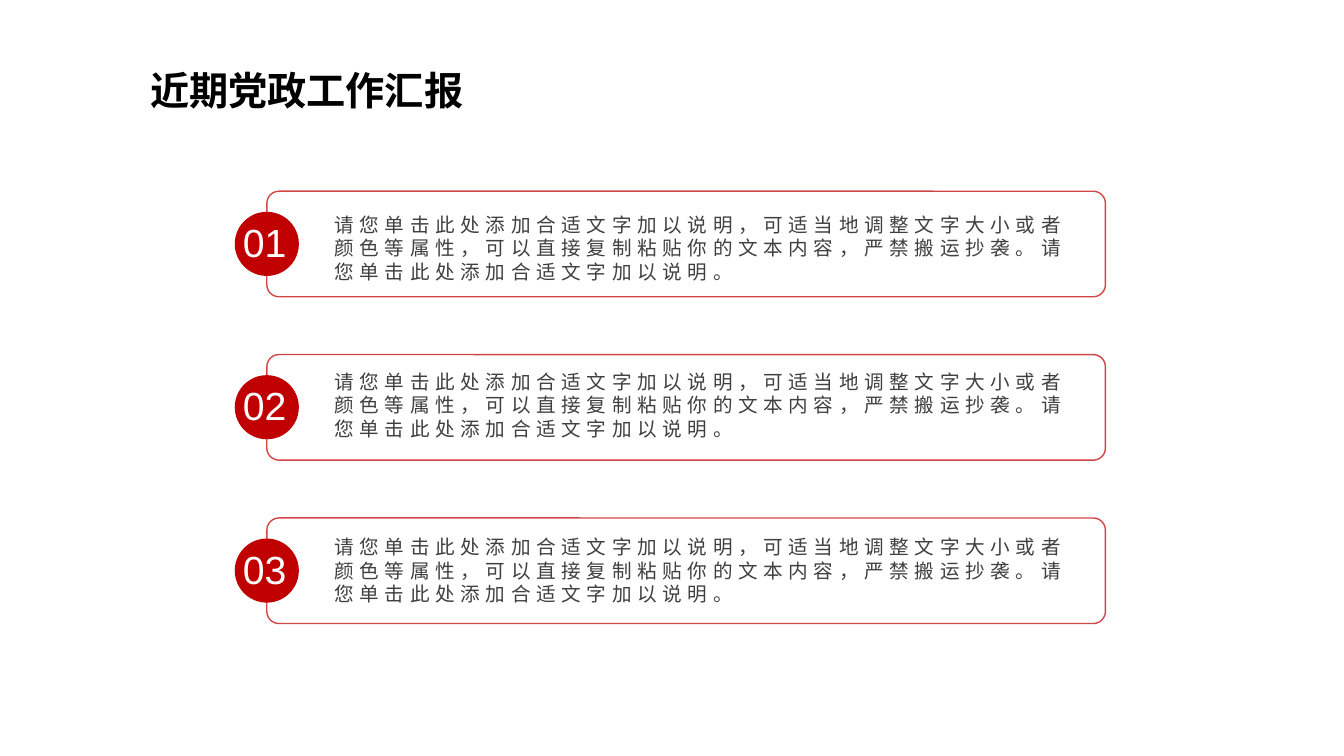
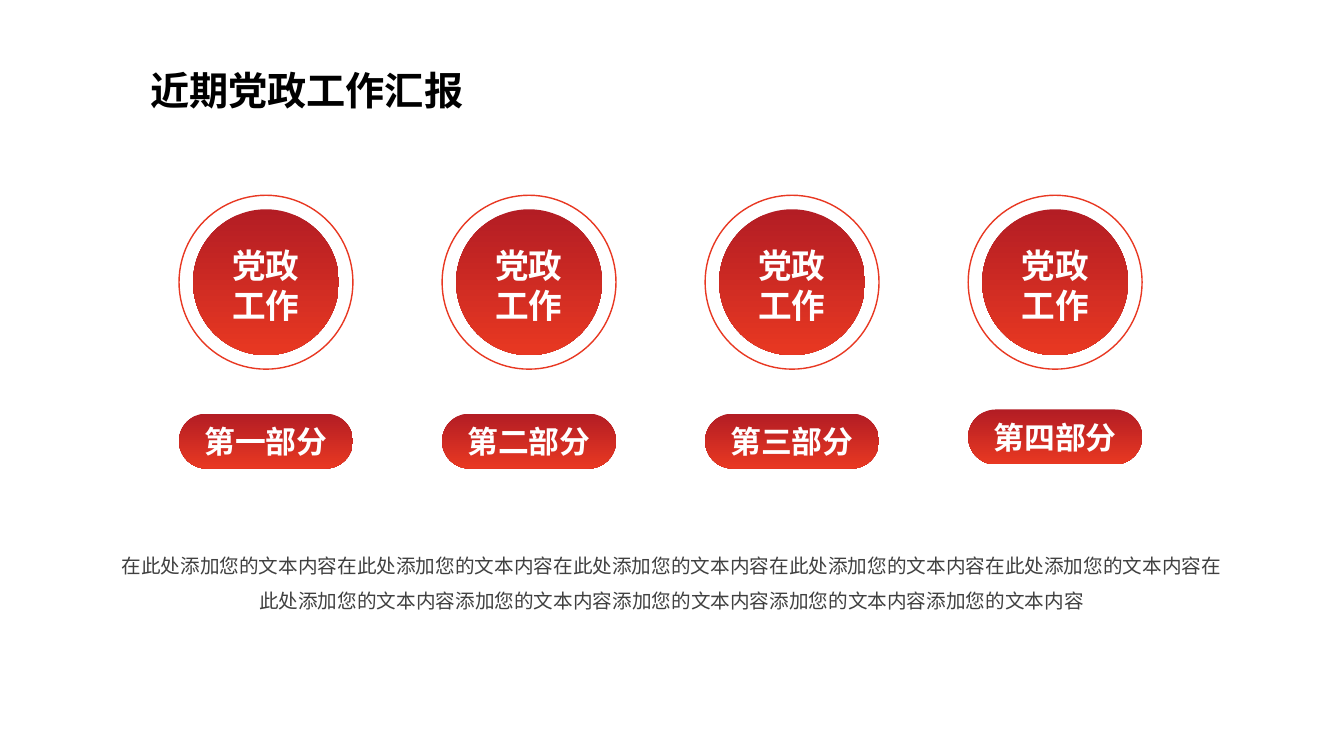
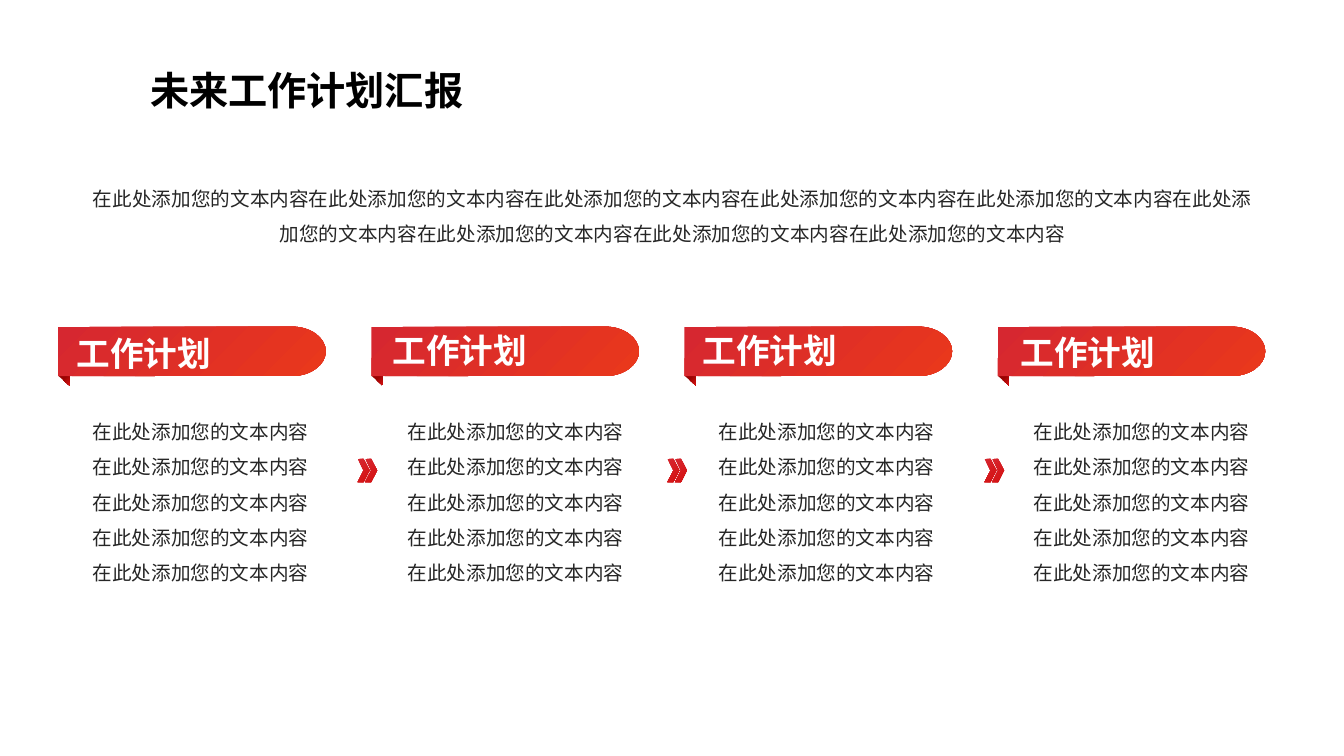
from dataclasses import dataclass
from typing import Any, Optional

import pptx
import pptx.dml.color
import pptx.enum.shapes
import pptx.enum.text
import pptx.oxml.ns
import pptx.util

Pt = pptx.util.Pt
Kind = pptx.enum.shapes.MSO_SHAPE
Align = pptx.enum.text.PP_ALIGN
qn = pptx.oxml.ns.qn


@dataclass(frozen=True)
class Theme:
    font: str = "Arial"
    black: str = "000000"
    white: str = "FFFFFF"
    grey: str = "404040"
    ink: str = "262626"
    red: str = "C00000"
    wine: str = "B31D24"
    flame: str = "E83822"
    rose: str = "D62730"
    glow: str = "E9381C"
    fold: str = "990302"
    blood: str = "D51111"
    head: int = 28
    label: int = 24
    pill: int = 22
    body: int = 14


@dataclass(frozen=True)
class Box:
    x: float
    y: float
    w: float
    h: float


@dataclass(frozen=True)
class Blend:
    start: str
    end: str
    angle: int
    first: float = 0


@dataclass(frozen=True)
class Item:
    mark: str
    top: float


@dataclass(frozen=True)
class Part:
    name: str
    top: float


@dataclass(frozen=True)
class Plan:
    x: float
    y: float
    body: float


THEME = Theme()
PHRASE = "在此处添加您的文本内容"
NOTE = ("请您单击此处添加合适文字加以说明，可适当地调整文字大小或者颜色等属性，"
        "可以直接复制粘贴你的文本内容，严禁搬运抄袭。请您单击此处添加合适文字加以说明。")
ITEMS = [Item("01", 148.3), Item("02", 260.6), Item("03", 378.7)]
PARTS = [Part("第一部分", 295.4), Part("第二部分", 295.4),
         Part("第三部分", 295.4), Part("第四部分", 292.5)]
PLANS = [Plan(54.7, 238, 60.8), Plan(280.5, 236, 285.8),
         Plan(501.8, 235.4, 507.9), Plan(729.1, 237.3, 732.9)]
ARROWS = [255.4, 476.7, 703.2]
DOWN = Blend(THEME.wine, THEME.flame, 270)


def tint(code: str) -> Any:
    return pptx.dml.color.RGBColor.from_string(code)


def paint(shape: Any, fill: Any = None, line: Optional[str] = None,
          alpha: Optional[int] = None) -> None:
    shape.shadow.inherit = False
    if isinstance(fill, Blend):
        shape.fill.gradient()
        shape.fill.gradient_angle = fill.angle
        first, last = shape.fill.gradient_stops
        first.color.rgb, first.position = tint(fill.start), fill.first
        last.color.rgb, last.position = tint(fill.end), 1
    elif fill:
        shape.fill.solid()
        shape.fill.fore_color.rgb = tint(fill)
    else:
        shape.fill.background()
    if not line:
        shape.line.fill.background()
        return
    shape.line.color.rgb = tint(line)
    shape.line.width = Pt(1)
    if alpha:
        stroke = shape.element.spPr.find(qn("a:ln"))
        node = next(stroke.iter(qn("a:srgbClr")))
        node.append(node.makeelement(qn("a:alpha"), {"val": str(alpha * 1000)}))


def draw(slide: Any, kind: Any, box: Box, fill: Any = None, line: Optional[str] = None,
         alpha: Optional[int] = None) -> Any:
    shape = slide.shapes.add_shape(kind, Pt(box.x), Pt(box.y), Pt(box.w), Pt(box.h))
    paint(shape, fill, line, alpha)
    return shape


def write(shape: Any, text: str, *, size: int, color: str, bold: bool = False,
          align: Any = Align.LEFT, space: float = 1, track: int = 0,
          pad: tuple[float, float] = (7.2, 3.6)) -> None:
    frame = shape.text_frame
    frame.auto_size = pptx.enum.text.MSO_AUTO_SIZE.NONE
    frame.word_wrap = True
    frame.vertical_anchor = pptx.enum.text.MSO_ANCHOR.TOP
    frame.margin_left = frame.margin_right = Pt(pad[0])
    frame.margin_top = frame.margin_bottom = Pt(pad[1])
    frame.text = text
    for para in frame.paragraphs:
        para.alignment = align
        para.line_spacing = space
        for run in para.runs:
            font = run.font
            font.name, font.size, font.bold = THEME.font, Pt(size), bold
            font.color.rgb = tint(color)
            props = run._r.get_or_add_rPr()
            props.append(props.makeelement(qn("a:ea"), {"typeface": THEME.font}))
            if track:
                props.set("spc", str(track * 100))


def note(slide: Any, box: Box, text: str, **style: Any) -> None:
    shape = slide.shapes.add_textbox(Pt(box.x), Pt(box.y), Pt(box.w), Pt(box.h))
    write(shape, text, **style)


def start(deck: Any, title: str) -> Any:
    slide = deck.slides.add_slide(deck.slide_layouts[5])
    head = slide.shapes.title
    head.left, head.top, head.width, head.height = Pt(100), Pt(44), Pt(243.4), Pt(41)
    write(head, title, size=THEME.head, color=THEME.black, bold=True, align=Align.JUSTIFY)
    return slide


def list_page(deck: Any) -> None:
    slide = start(deck, "近期党政工作汇报")
    for i, item in enumerate(ITEMS):
        y = 136.6 + 116.7 * i
        card = draw(slide, Kind.ROUNDED_RECTANGLE, Box(190.6, y, 599, 75.4),
                    line=THEME.red, alpha=72)
        card.adjustments[0] = 0.115
        draw(slide, Kind.OVAL, Box(167.7, y + 14.7, 45.8, 45.8), THEME.red)
        note(slide, Box(142.6, y + 15.8, 92.9, 41), item.mark, size=THEME.head,
             color=THEME.white, align=Align.CENTER)
        note(slide, Box(231.8, item.top, 552, 58.3), NOTE, size=THEME.body,
             color=THEME.grey, track=4)


def part_page(deck: Any) -> None:
    slide = start(deck, "近期党政工作汇报")
    white = dict(color=THEME.white, bold=True, align=Align.CENTER)
    for i, part in enumerate(PARTS):
        x = 127.9 + 187.9 * i
        draw(slide, Kind.OVAL, Box(x + 10, 149.5, 104.2, 104.2), DOWN)
        draw(slide, Kind.OVAL, Box(x, 139.5, 124.2, 124.2), line=THEME.flame)
        note(slide, Box(x - 50.3, 171.2, 224.6, 65.5), "党政\n工作", size=THEME.label, **white)
        pill = draw(slide, Kind.ROUNDED_RECTANGLE, Box(x, part.top, 124.2, 39.3), DOWN)
        pill.adjustments[0] = 0.5
        note(slide, Box(x - 50.3, part.top + 2.8, 224.6, 33.8), part.name,
             size=THEME.pill, **white)
    note(slide, Box(77.8, 383.4, 804.2, 58.3), PHRASE * 6 + "添加您的文本内容" * 4,
         size=THEME.body, color=THEME.grey, align=Align.CENTER, space=1.5)


def bend(line: Any, points: list[tuple[float, float]]) -> None:
    curve = line.makeelement(qn("a:cubicBezTo"), {})
    for x, y in points:
        spot = {"x": str(int(Pt(x))), "y": str(int(Pt(y)))}
        curve.append(curve.makeelement(qn("a:pt"), spot))
    line.getparent().replace(line, curve)


def ribbon(slide: Any, x: float, y: float) -> None:
    w, h, nose, pull = 191.2, 35.3, 24, 0.45
    neck, mid = w - nose, h / 2
    spots = [(neck, 0), (w, mid), (neck, h), (0, h)]
    form = slide.shapes.build_freeform(Pt(x), Pt(y))
    form.add_line_segments([(Pt(x + a), Pt(y + b)) for a, b in spots], close=True)
    shape = form.convert_to_shape()
    lines = list(shape.element.spPr.iter(qn("a:lnTo")))
    bend(lines[1], [(w - nose * pull, 0), (w, mid * pull), (w, mid)])
    bend(lines[2], [(w, h - mid * pull), (w - nose * pull, h), (neck, h)])
    paint(shape, Blend(THEME.rose, THEME.glow, 315))


def plan_page(deck: Any) -> None:
    slide = start(deck, "未来工作计划汇报")
    text = dict(size=THEME.body, color=THEME.ink, align=Align.CENTER, space=1.5, pad=(0, 0))
    for i, plan in enumerate(PLANS):
        x = 41.5 + 223.7 * i
        draw(slide, Kind.RECTANGLE, Box(x + 6.7, 252, 198.7, 187.9), THEME.white)
        fold = draw(slide, Kind.RIGHT_TRIANGLE, Box(x, 268.3, 8, 7),
                    Blend(THEME.fold, THEME.blood, 135, 0.4))
        fold.rotation = 180
        ribbon(slide, x, 233.3)
        note(slide, Box(plan.x, plan.y, 191.5, 28.8), "工作计划", size=THEME.label,
             color=THEME.white, bold=True, pad=(0, 0))
        note(slide, Box(plan.body, 291.6, 165, 126), PHRASE * 5, **text)
    for x in ARROWS:
        for shift in (0, 5.4):
            draw(slide, Kind.CHEVRON, Box(x + shift, 327.6, 8.6, 16.8),
                 Blend(THEME.rose, THEME.blood, 315))
    note(slide, Box(61.9, 124.9, 837.4, 51), PHRASE * 9, **text)


def main() -> None:
    deck = pptx.Presentation()
    deck.slide_width, deck.slide_height = Pt(960), Pt(540)
    list_page(deck)
    part_page(deck)
    plan_page(deck)
    deck.save("out.pptx")


if __name__ == "__main__":
    main()
